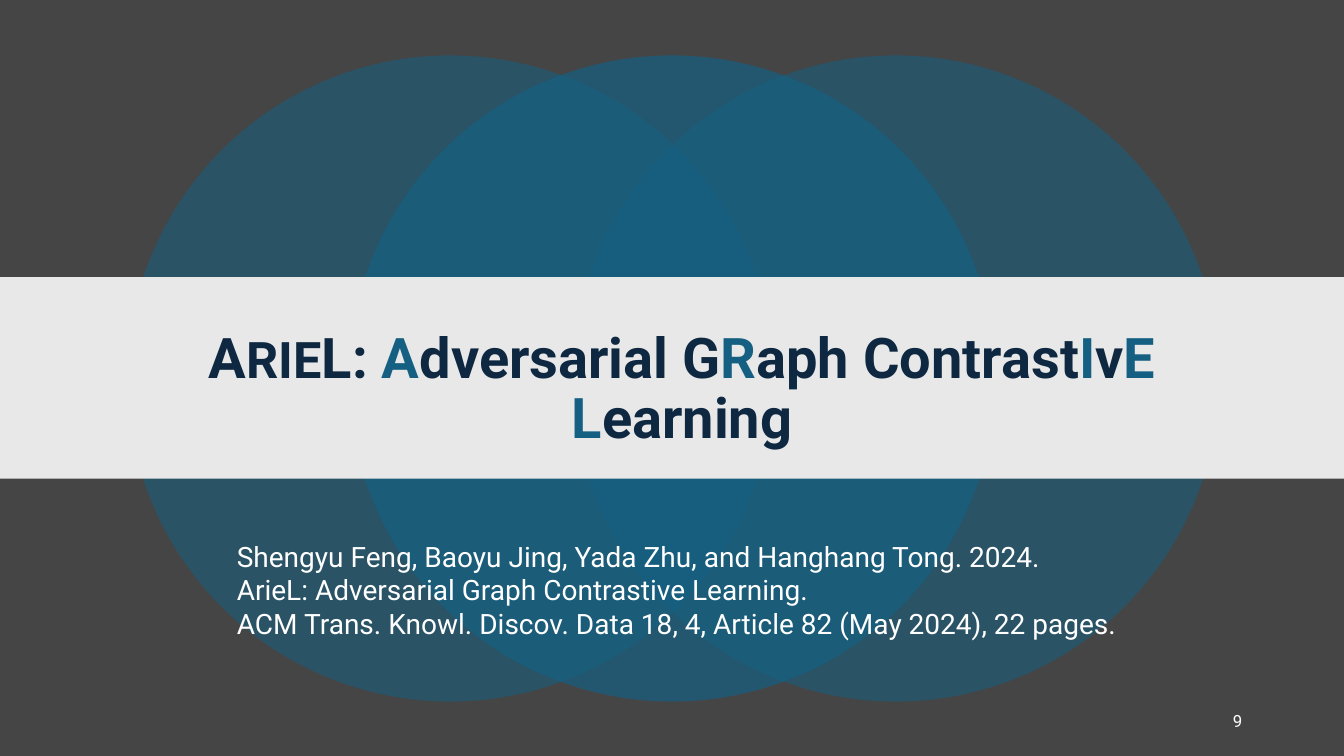
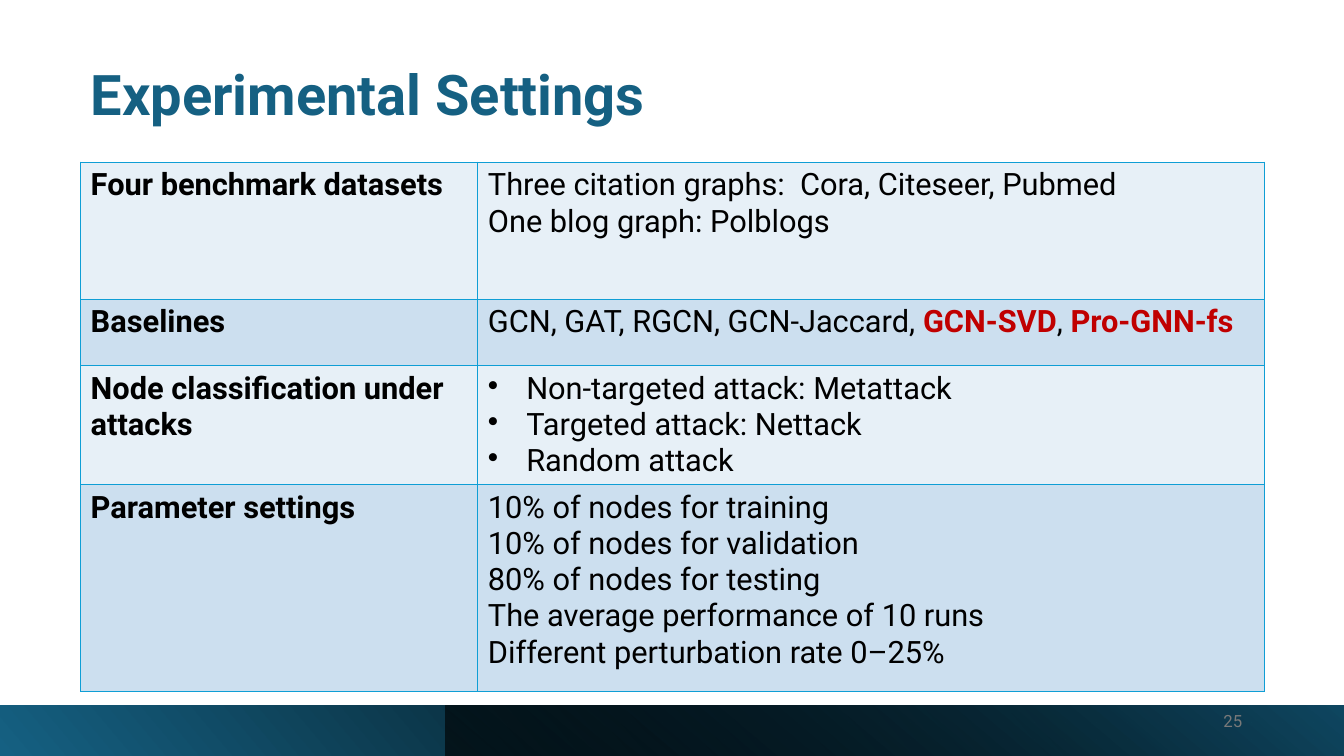
import pptx
import pptx.util
import pptx.dml.color
import pptx.enum.shapes
import pptx.enum.text
import pptx.oxml
import pptx.oxml.ns

RGB = pptx.dml.color.RGBColor
SHAPE = pptx.enum.shapes.MSO_SHAPE
ALIGN = pptx.enum.text.PP_ALIGN
ANCHOR = pptx.enum.text.MSO_ANCHOR
FIT = pptx.enum.text.MSO_AUTO_SIZE
Pt = pptx.util.Pt
qn = pptx.oxml.ns.qn

PX = 9144  # 100 px to the inch
WIDE, HIGH = 1333, 750
FONT = "Roboto"

WHITE = RGB(0xFF, 0xFF, 0xFF)
BLACK = RGB(0, 0, 0)
DARK = RGB(0x45, 0x45, 0x45)
PALE = RGB(0xE8, 0xE8, 0xE8)
GRAY = RGB(0x79, 0x79, 0x79)
NAVY = RGB(0x0E, 0x28, 0x41)
BLUE = RGB(0x15, 0x60, 0x82)
DEEP = RGB(0x10, 0x48, 0x62)
RED = RGB(0xC0, 0, 0)
BANDS = RGB(0xE7, 0xF0, 0xF7), RGB(0xCC, 0xDF, 0xEF)
EDGE = "0F9ED5"

# A line is a string or a list of pieces; a piece is (text, changes to the style).
KEY = {"color": BLUE}
HOT = {"color": RED, "bold": True}
PAPER = [
    ("A", {}), ("RIE", {"size": 36}), ("L: ", {}), ("A", KEY),
    ("dversarial G", {}), ("R", KEY), ("aph Contrast", {}), ("I", KEY),
    ("v", {}), ("E L", KEY), ("earning", {}),
]
CITE = [
    "Shengyu Feng, Baoyu Jing, Yada Zhu, and Hanghang Tong. 2024.",
    "ArieL: Adversarial Graph Contrastive Learning.",
    "ACM Trans. Knowl. Discov. Data 18, 4, Article 82 (May 2024), 22 pages.",
]
CIRCLES = [(126, 55), (568, 55), (346, 70)]  # left, opacity in percent

COLS = 394, 780
ROWS = [  # height, heading, lines, bulleted
    (136, "Four benchmark datasets",
     ["Three citation graphs:  Cora, Citeseer, Pubmed",
      "One blog graph: Polblogs"], False),
    (66, "Baselines",
     [[("GCN, GAT, RGCN, GCN-Jaccard, ", {}), ("GCN-SVD", HOT),
       (", ", {}), ("Pro-GNN-fs", HOT)]], False),
    (118, "Node classification under attacks",
     ["Non-targeted attack: Metattack", "Targeted attack: Nettack",
      "Random attack"], True),
    (205, "Parameter settings",
     ["10% of nodes for training", "10% of nodes for validation",
      "80% of nodes for testing", "The average performance of 10 runs",
      "Different perturbation rate 0–25%"], False),
]


def px(*sizes):
    return [size * PX for size in sizes]


def bullet(para):
    props = para._p.get_or_add_pPr()
    props.set("marL", str(38 * PX))
    props.set("indent", str(-38 * PX))
    mark = pptx.oxml.parse_xml(
        f'<a:buChar {pptx.oxml.ns.nsdecls("a")} char="•"/>')
    props.append(mark)


def write(frame, lines, size, color, bold=False, align=ALIGN.LEFT,
          space=None, dots=False):
    frame.word_wrap = True
    for i, line in enumerate(lines):
        para = frame.add_paragraph() if i else frame.paragraphs[0]
        para.alignment = align
        para.line_spacing = space
        if dots:
            bullet(para)
        pieces = [(line, {})] if isinstance(line, str) else line
        for text, change in pieces:
            run = para.add_run()
            run.text = text
            style = {"size": size, "color": color, "bold": bold, **change}
            run.font.name = FONT
            run.font.size = Pt(style["size"])
            run.font.bold = style["bold"]
            run.font.color.rgb = style["color"]


def shape(shapes, kind, box, color=None):
    item = shapes.add_shape(kind, *px(*box))
    item.shadow.inherit = False
    item.line.fill.background()
    if color is not None:
        item.fill.solid()
        item.fill.fore_color.rgb = color
    return item


def fade(item, share):
    """Set the opacity, in percent, of the first fill colour."""
    tint = item._element.spPr.find(".//" + qn("a:srgbClr"))
    tint.makeelement
    alpha = pptx.oxml.parse_xml(
        f'<a:alpha {pptx.oxml.ns.nsdecls("a")} val="{share * 1000}"/>')
    tint.append(alpha)


def blend(item, stops, angle):
    item.fill.gradient()
    item.fill.gradient_angle = angle
    for stop, (place, color) in zip(item.fill.gradient_stops, stops):
        stop.position = place
        stop.color.rgb = color


def title(slide, box, line, color, anchor, align):
    head = slide.shapes.title
    head.left, head.top, head.width, head.height = px(*box)
    slide.shapes._spTree.append(head._element)  # in front of the band
    head.text_frame.auto_size = FIT.NONE
    head.text_frame.vertical_anchor = anchor
    write(head.text_frame, [line], 40, color, True, align, 0.9)


def number(slide, text, color):
    frame = slide.shapes.add_textbox(*px(942, 695, 300, 40)).text_frame
    frame.vertical_anchor = ANCHOR.MIDDLE
    write(frame, [text], 12, color, align=ALIGN.RIGHT)


def start(deck, color):
    slide = deck.slides.add_slide(deck.slide_layouts[5])
    slide.background.fill.solid()
    slide.background.fill.fore_color.rgb = color
    return slide


def border(cell):
    props = cell._tc.get_or_add_tcPr()
    for i, side in enumerate(("lnL", "lnR", "lnT", "lnB")):
        line = pptx.oxml.parse_xml(
            f'<a:{side} {pptx.oxml.ns.nsdecls("a")} w="12700"><a:solidFill>'
            f'<a:srgbClr val="{EDGE}"/></a:solidFill></a:{side}>')
        props.insert(i, line)


def section(deck):
    slide = start(deck, DARK)
    group = slide.shapes.add_group_shape()
    for left, share in CIRCLES:
        circle = shape(group.shapes, SHAPE.OVAL, (left, 55, 641, 641), BLUE)
        fade(circle, share)
    shape(slide.shapes, SHAPE.RECTANGLE, (0, 275, WIDE, 200), PALE)
    title(slide, (111, 312, 1131, 151), PAPER, NAVY,
          ANCHOR.MIDDLE, ALIGN.CENTER)
    cite = slide.shapes.add_textbox(*px(225, 530, 962, 111))
    write(cite.text_frame, CITE, 20, WHITE)
    number(slide, "9", WHITE)


def settings(deck):
    slide = start(deck, WHITE)
    title(slide, (80, 28, 1060, 104), "Experimental Settings", BLUE,
          ANCHOR.BOTTOM, ALIGN.LEFT)
    bar = shape(slide.shapes, SHAPE.RECTANGLE, (0, 700, WIDE, 50))
    blend(bar, [(0, BLUE), (0.78, BLACK)], 40)
    cover = shape(slide.shapes, SHAPE.RECTANGLE, (442, 700, WIDE - 442, 50))
    blend(cover, [(0, BLACK), (1, DEEP)], 50)
    fade(cover, 63)

    high = sum(row[0] for row in ROWS)
    table = slide.shapes.add_table(
        len(ROWS), len(COLS), *px(80, 161, sum(COLS), high)).table
    table.first_row = table.horz_banding = False
    for col, wide in zip(table.columns, COLS):
        col.width = wide * PX
    for i, (tall, head, lines, dots) in enumerate(ROWS):
        table.rows[i].height = tall * PX
        left, right = table.rows[i].cells
        write(left.text_frame, [head], 22, BLACK, True)
        write(right.text_frame, lines, 22, BLACK, dots=dots)
        for cell in (left, right):
            cell.fill.solid()
            cell.fill.fore_color.rgb = BANDS[i % 2]
            border(cell)
    number(slide, "25", GRAY)


def main():
    deck = pptx.Presentation()
    deck.slide_width, deck.slide_height = px(WIDE, HIGH)
    section(deck)
    settings(deck)
    deck.save("out.pptx")


if __name__ == "__main__":
    main()
